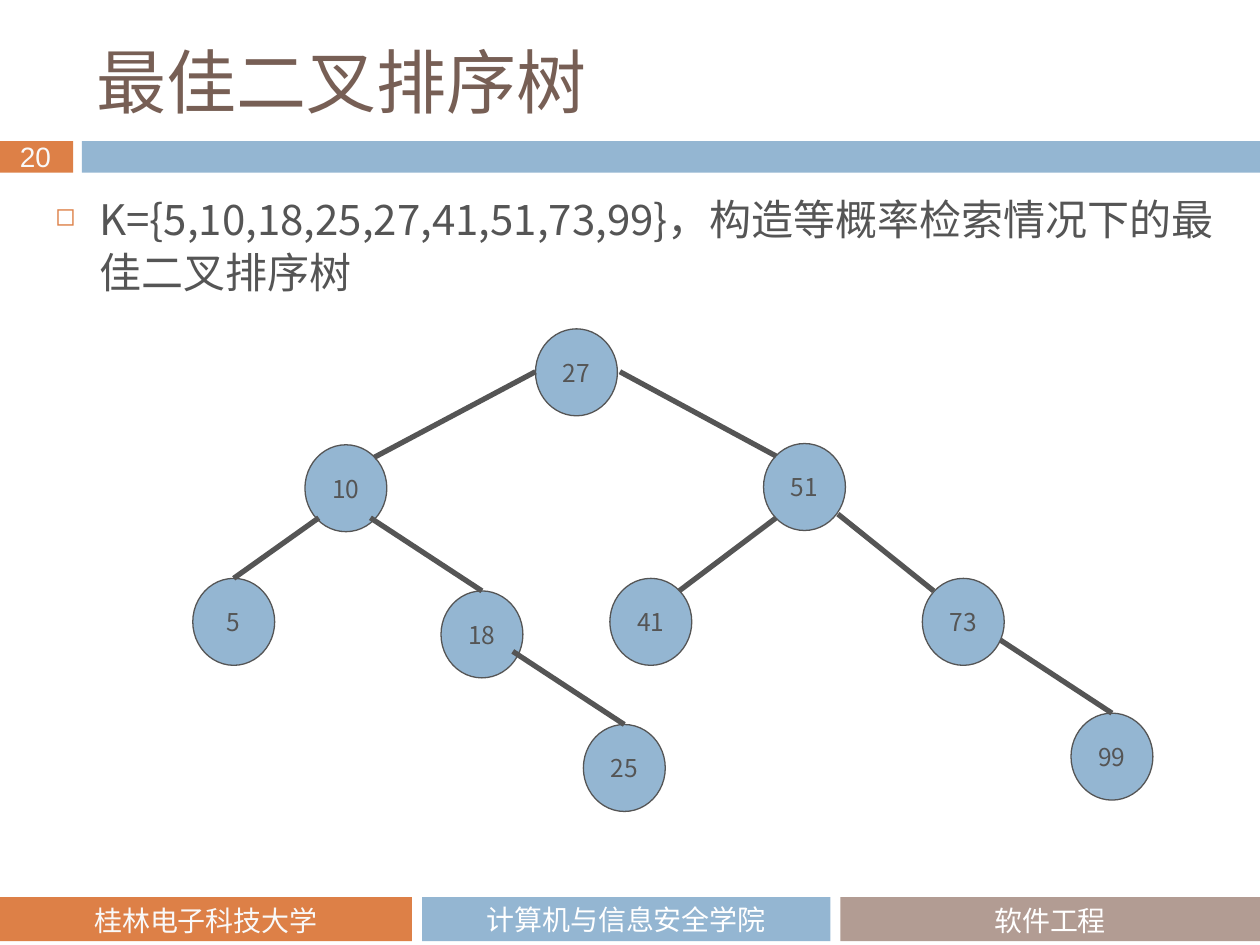
from pptx import Presentation
from pptx.dml.color import RGBColor
from pptx.enum.shapes import MSO_CONNECTOR, MSO_SHAPE
from pptx.enum.text import MSO_ANCHOR, PP_ALIGN
from pptx.oxml import parse_xml
from pptx.oxml.ns import nsdecls, qn
from pptx.util import Inches, Pt

RECTANGLE, OVAL = MSO_SHAPE.RECTANGLE, MSO_SHAPE.OVAL
STRAIGHT = MSO_CONNECTOR.STRAIGHT
TOP, MIDDLE = MSO_ANCHOR.TOP, MSO_ANCHOR.MIDDLE
LEFT, CENTER = PP_ALIGN.LEFT, PP_ALIGN.CENTER

ORANGE = RGBColor(0xDD, 0x80, 0x47)
BLUE = RGBColor(0x94, 0xB6, 0xD2)
TAUPE = RGBColor(0xB2, 0x9C, 0x93)
BROWN = RGBColor(0x77, 0x5F, 0x55)
GRAY = RGBColor(0x55, 0x55, 0x55)
WHITE = RGBColor(0xFF, 0xFF, 0xFF)
OFF_WHITE = RGBColor(0xF9, 0xF9, 0xF9)

NODE_WIDTH, NODE_HEIGHT = 0.65, 0.69
TOP_SITE = 0


class TreeSlide:
    font = "Noto Sans CJK SC"

    def __init__(self, page):
        self.page = page

    def label(self, shape, text, size, color, font, align, anchor):
        frame = shape.text_frame
        frame.text = text
        frame.vertical_anchor = anchor
        paragraph = frame.paragraphs[0]
        paragraph.alignment = align
        for span in paragraph.runs:
            span.font.size = Pt(size)
            span.font.color.rgb = color
            span.font.name = font
            east_asian = span.font._element.makeelement(qn("a:ea"), {"typeface": font})
            span.font._element.find(qn("a:latin")).addnext(east_asian)
        return paragraph

    def bar(self, left, top, width, height, color):
        bar = self.page.shapes.add_shape(
            RECTANGLE, Inches(left), Inches(top), Inches(width), Inches(height))
        bar.shadow.inherit = False
        bar.fill.solid()
        bar.fill.fore_color.rgb = color
        bar.line.fill.background()
        return bar

    def text(self, at, text, size, color, font=font, align=LEFT, anchor=TOP, wrap=True):
        box = self.page.shapes.add_textbox(*[Inches(length) for length in at])
        box.text_frame.word_wrap = wrap
        return self.label(box, text, size, color, font, align, anchor)

    def bullet(self, paragraph, indent):
        properties = paragraph._p.get_or_add_pPr()
        properties.set("marL", str(Inches(indent)))
        properties.set("indent", str(-Inches(indent)))
        namespace = nsdecls("a")
        for xml in (
            f'<a:buClr {namespace}><a:srgbClr val="{ORANGE}"/></a:buClr>',
            f'<a:buSzPct {namespace} val="60000"/>',
            f'<a:buChar {namespace} char="◻"/>',
        ):
            properties.append(parse_xml(xml))

    def node(self, key, left, top):
        node = self.page.shapes.add_shape(
            OVAL, Inches(left), Inches(top), Inches(NODE_WIDTH), Inches(NODE_HEIGHT))
        node.shadow.inherit = False
        node.fill.solid()
        node.fill.fore_color.rgb = BLUE
        node.line.color.rgb = GRAY
        node.line.width = Pt(0.75)
        node.text_frame.word_wrap = False
        self.label(node, str(key), 14, GRAY, self.font, CENTER, MIDDLE)
        return node

    def edge(self, start, end, child=None):
        edge = self.page.shapes.add_connector(
            STRAIGHT, *[Inches(length) for length in start + end])
        edge.line.color.rgb = GRAY
        edge.line.width = Pt(3)
        edge._element.spPr.append(parse_xml(f'<a:effectLst {nsdecls("a")}/>'))
        if child is not None:
            edge.end_connect(child, TOP_SITE)


def main():
    deck = Presentation()
    deck.slide_width, deck.slide_height = Inches(10), Inches(7.5)
    slide = TreeSlide(deck.slides.add_slide(deck.slide_layouts[6]))

    # Header band and page number
    slide.bar(0, 1.12, 0.58, 0.25, ORANGE)
    slide.bar(0.65, 1.12, 9.35, 0.25, BLUE)
    slide.text((0.06, 1.06, 0.48, 0.37), "20", 16, OFF_WHITE, "Arial", wrap=False)

    # Footer bands
    slide.bar(0, 7.12, 3.27, 0.35, ORANGE)
    college = slide.bar(3.35, 7.12, 3.24, 0.35, BLUE)
    slide.label(college, "计算机与信息安全学院", 16, WHITE, "Calibri", CENTER, MIDDLE)
    slide.bar(6.67, 7.12, 3.33, 0.35, TAUPE)
    slide.text((6.67, 7.12, 3.33, 0.32), "软件工程", 16, WHITE, "Calibri", CENTER)
    slide.text((0, 7.12, 3.27, 0.32), "桂林电子科技大学", 16, OFF_WHITE, "Calibri", CENTER)

    # Title and task
    slide.text((0.67, 0.25, 8.92, 0.78), "最佳二叉排序树", 40, BROWN,
               "Noto Sans CJK JP", anchor=MIDDLE)
    task = slide.text((0.34, 1.47, 9.44, 0.92),
                      "K={5,10,18,25,27,41,51,73,99}，构造等概率检索情况下的最佳二叉排序树",
                      24, GRAY)
    slide.bullet(task, 0.35)
    task.line_spacing = Pt(30)

    # Tree nodes: key, left, top
    places = [
        (27, 4.25, 2.61),
        (10, 2.42, 3.53), (51, 6.06, 3.52),
        (5, 1.53, 4.59), (18, 3.5, 4.69), (41, 4.84, 4.59), (73, 7.32, 4.59),
        (25, 4.63, 5.75), (99, 8.5, 5.66),
    ]
    nodes = {key: slide.node(key, left, top) for key, left, top in places}

    # Edges that meet a child on its shoulder
    for start, end in [
        ((4.25, 2.95), (2.97, 3.63)),
        ((4.92, 2.95), (6.16, 3.62)),
        ((6.16, 4.11), (5.39, 4.69)),
        ((6.65, 4.08), (7.41, 4.69)),
    ]:
        slide.edge(start, end)

    # Edges that meet a child at its top
    for start, key in [((2.53, 4.11), 5), ((2.94, 4.11), 18),
                       ((4.07, 5.17), 25), ((7.94, 5.08), 99)]:
        slide.edge(start, start, nodes[key])

    deck.save("out.pptx")


if __name__ == "__main__":
    main()
